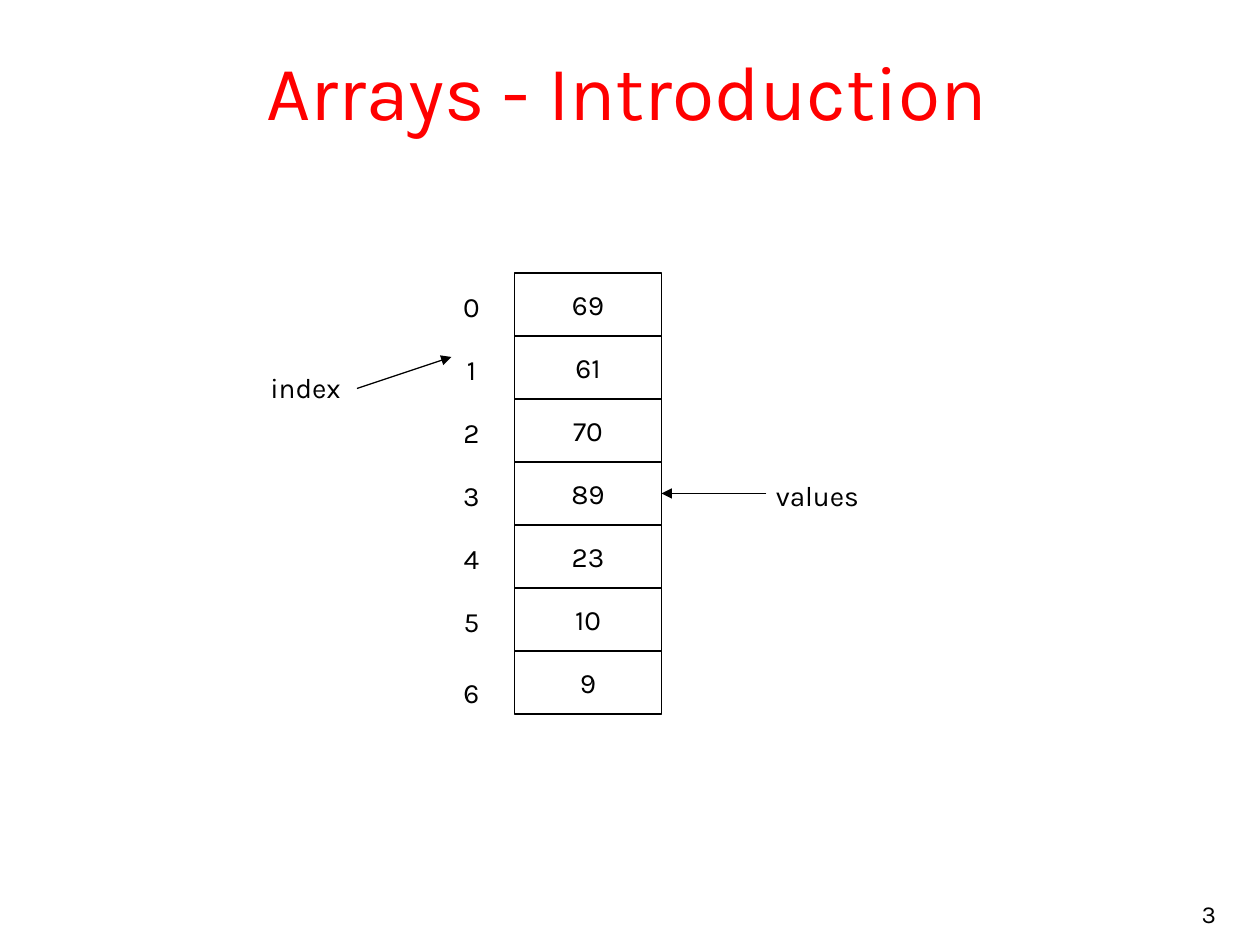
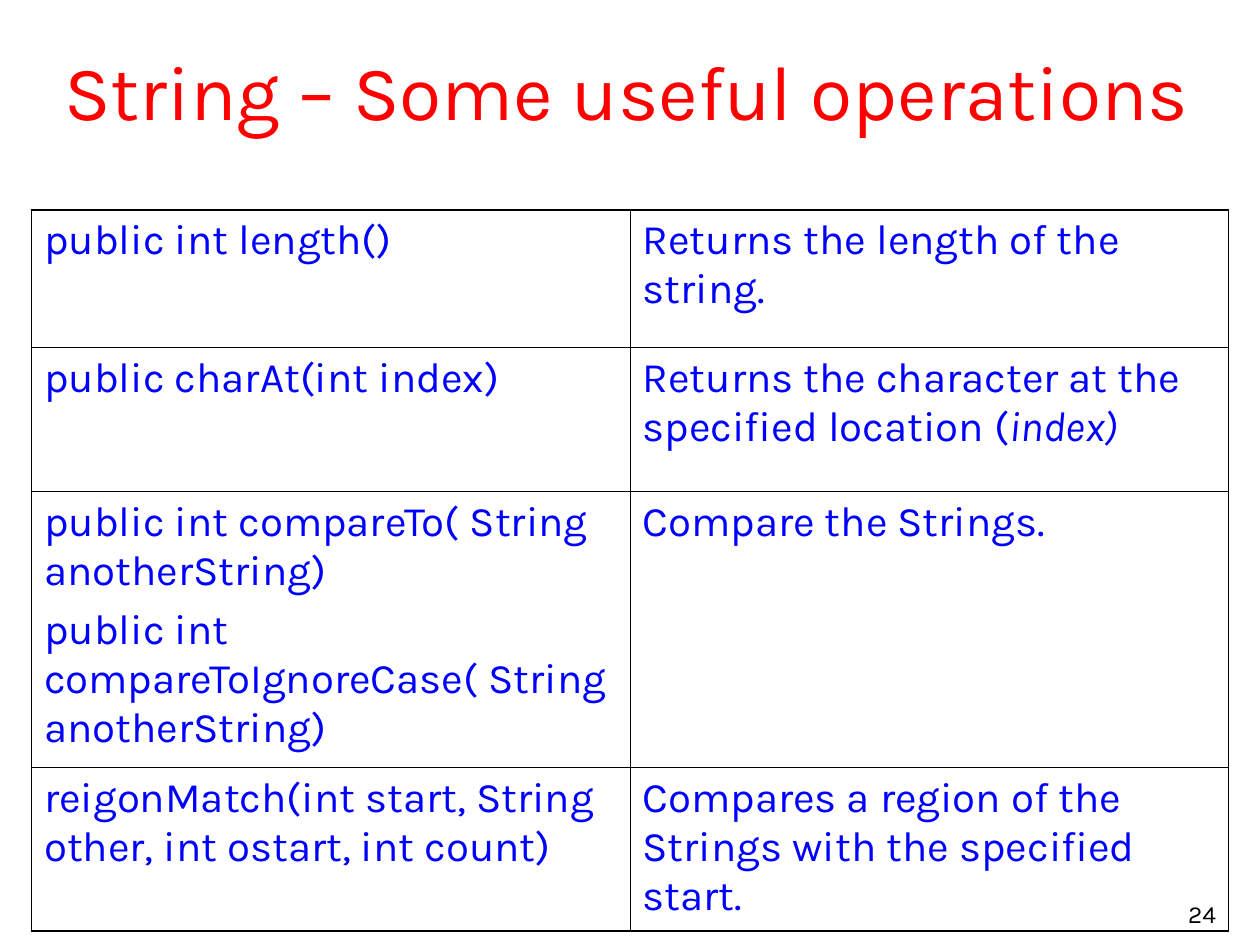
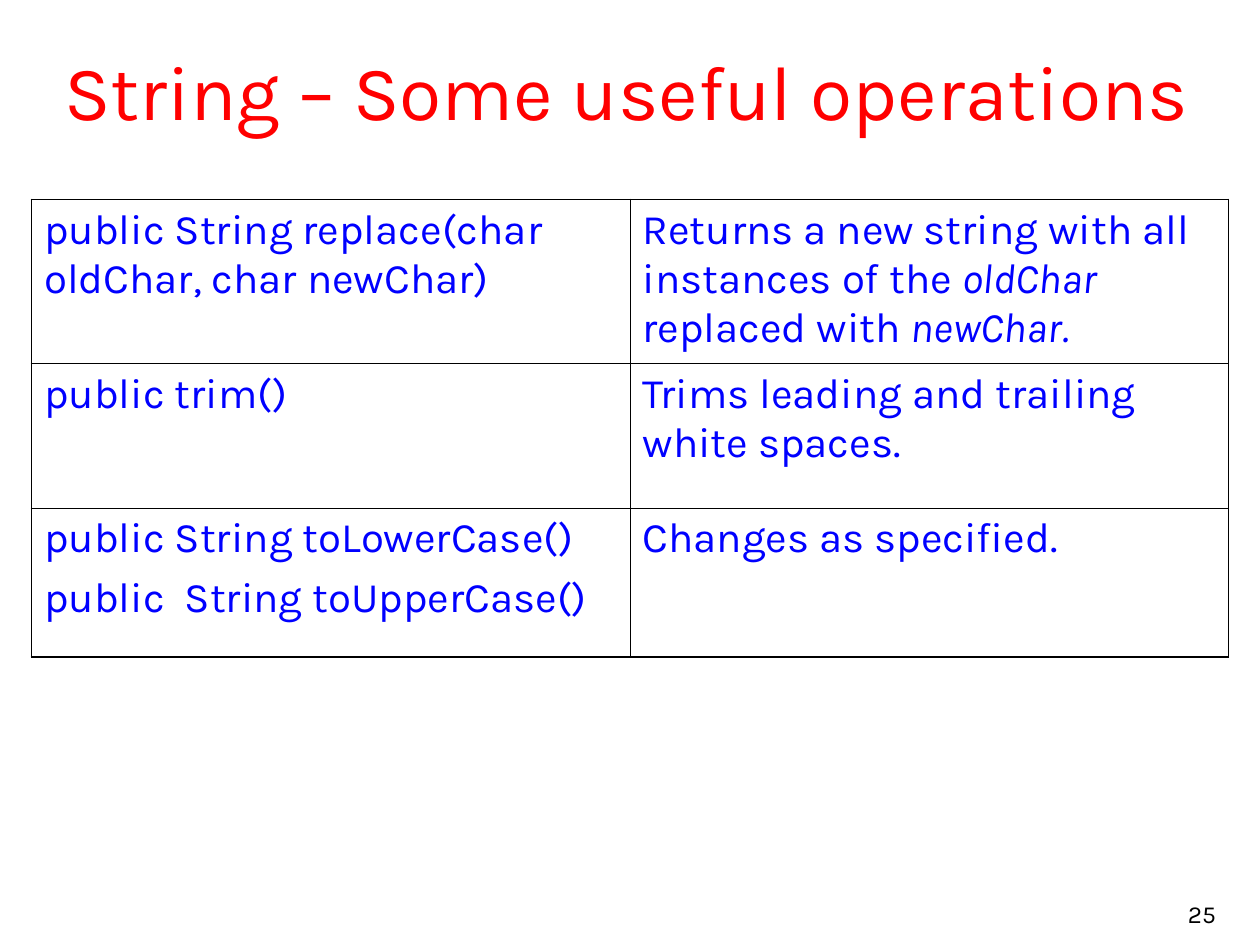
from lxml.etree import SubElement
from pptx import Presentation
from pptx.dml.color import RGBColor
from pptx.enum.shapes import MSO_CONNECTOR as Connector, MSO_SHAPE as Shape
from pptx.enum.text import MSO_ANCHOR as Anchor, MSO_AUTO_SIZE as AutoSize, PP_ALIGN as Align
from pptx.oxml import parse_xml
from pptx.oxml.ns import nsdecls, qn
from pptx.util import Inches, Pt

COLORS = {"title": "FF0000", "code": "0000FF", "ink": "000000", "paper": "FFFFFF"}
FONT = "Karla"
COLUMNS, ROWS = 120, 90  # slide grid
OUTER, INNER = 1.08, 0.45  # table border widths in points


def color(name):
    return RGBColor.from_string(COLORS[name])


def write(frame, text, size=16, ink="ink", align=Align.CENTER, anchor=Anchor.TOP,
          wrap=True, gap=6):
    """Fill a text frame; each line is a paragraph and *stars* mark italics."""
    frame.auto_size = AutoSize.NONE
    frame.word_wrap = wrap
    frame.vertical_anchor = anchor
    for number, line in enumerate(text.split("\n")):
        para = frame.add_paragraph() if number else frame.paragraphs[0]
        para.alignment = align
        para.space_before = Pt(gap if number else 0)
        for part, words in enumerate(line.split("*")):
            if words:
                span = para.add_run()
                span.text = words
                span.font.name, span.font.size = FONT, Pt(size)
                span.font.color.rgb = color(ink)
                span.font.italic = part % 2 == 1


class Builder:
    def __init__(self):
        self.deck = Presentation()
        self.deck.slide_width, self.deck.slide_height = Inches(10), Inches(7.5)
        self.page = None

    def x(self, columns):
        return round(self.deck.slide_width * columns / COLUMNS)

    def y(self, rows):
        return round(self.deck.slide_height * rows / ROWS)

    def area(self, left, top, width, height):
        return self.x(left), self.y(top), self.x(width), self.y(height)

    def new_page(self, title):
        self.page = self.deck.slides.add_slide(self.deck.slide_layouts[5])
        box = self.page.shapes.title
        box.left, box.top, box.width, box.height = self.area(2, 2, 115.5, 13)
        box.fill.solid()
        box.fill.fore_color.rgb = color("paper")
        write(box.text_frame, title, size=44, ink="title", anchor=Anchor.MIDDLE)

    def page_number(self, number):
        self.label(str(number), 92, 83, 25, 6, size=14, align=Align.RIGHT,
                   anchor=Anchor.BOTTOM, wrap=True)

    def label(self, text, left, top, width, height=4.4, wrap=False, **style):
        box = self.page.shapes.add_textbox(*self.area(left, top, width, height))
        write(box.text_frame, text, wrap=wrap, **style)

    def cell_box(self, text, *place):
        box = self.page.shapes.add_shape(Shape.RECTANGLE, *self.area(*place))
        box.shadow.inherit = False
        box.fill.solid()
        box.fill.fore_color.rgb = color("paper")
        box.line.color.rgb, box.line.width = color("ink"), Pt(0.75)
        write(box.text_frame, text, anchor=Anchor.MIDDLE, wrap=False)

    def arrow(self, x1, y1, x2, y2):
        line = self.page.shapes.add_connector(
            Connector.STRAIGHT, self.x(x1), self.y(y1), self.x(x2), self.y(y2))
        line.line.color.rgb, line.line.width = color("ink"), Pt(0.75)
        SubElement(line.line._get_or_add_ln(), qn("a:tailEnd"), type="triangle")
        SubElement(line._element.spPr, qn("a:effectLst"))

    def borders(self, cell, widths):
        properties = cell._tc.get_or_add_tcPr()
        for place, (side, width) in enumerate(widths.items()):
            properties.insert(place, parse_xml(
                f'<a:ln{side} {nsdecls("a")} w="{Pt(width)}"><a:solidFill>'
                f'<a:srgbClr val="{COLORS["ink"]}"/></a:solidFill></a:ln{side}>'))

    def table(self, top, heights, rows):
        count, wide = len(rows), len(rows[0])
        table = self.page.shapes.add_table(
            count, wide, *self.area(3, top, 114, sum(heights))).table
        table.first_row = table.horz_banding = False
        for r, (height, texts) in enumerate(zip(heights, rows)):
            table.rows[r].height = self.y(height)
            for c, text in enumerate(texts):
                cell = table.cell(r, c)
                cell.fill.background()
                edges = {"L": c == 0, "R": c == wide - 1, "T": r == 0, "B": r == count - 1}
                self.borders(cell, {side: OUTER if edge else INNER
                                    for side, edge in edges.items()})
                write(cell.text_frame, text, size=24, ink="code", align=Align.LEFT)


def array_page(show):
    show.new_page("Arrays - Introduction")
    values = [69, 61, 70, 89, 23, 10, 9]
    left, top, width, height = 49, 26, 14, 6
    for index, value in enumerate(values):
        show.cell_box(str(value), left, top + index * height, width, height)
    # The last index sits slightly lower than the others
    for index in range(len(values)):
        drop = 1.7 if index == len(values) - 1 else 1
        show.label(str(index), 43, top + drop + index * height, 3.8)
    # Callouts
    show.label("index", 24.5, 34.7, 9.2)
    show.arrow(34, 37, 43, 34)
    show.arrow(73, 47, left + width, 47)
    show.label("values", 72.7, 45, 10.3)
    show.page_number(3)


def operations_page(show, number, top, heights, rows):
    show.new_page("String – Some useful operations")
    show.table(top, heights, rows)
    show.page_number(number)


def main():
    show = Builder()
    array_page(show)
    operations_page(show, 24, 20, [13.1, 13.7, 26.3, 15.6], [
        ("public int length()", "Returns the length of the string."),
        ("public charAt(int index)",
         "Returns the character at the specified location (*index)*"),
        ("public int compareTo( String anotherString)\n"
         "public int compareToIgnoreCase( String anotherString)",
         "Compare the Strings."),
        ("reigonMatch(int start, String other, int ostart, int count)",
         "Compares a region of the Strings with the specified start."),
    ])
    operations_page(show, 25, 19, [15.6, 13.8, 14.2], [
        ("public String replace(char oldChar, char newChar)",
         "Returns a new string with all instances of the *oldChar *replaced with *newChar.*"),
        ("public trim()", "Trims leading and trailing white spaces."),
        ("public String toLowerCase()\npublic  String toUpperCase()",
         "Changes as specified."),
    ])
    show.deck.save("out.pptx")


if __name__ == "__main__":
    main()
